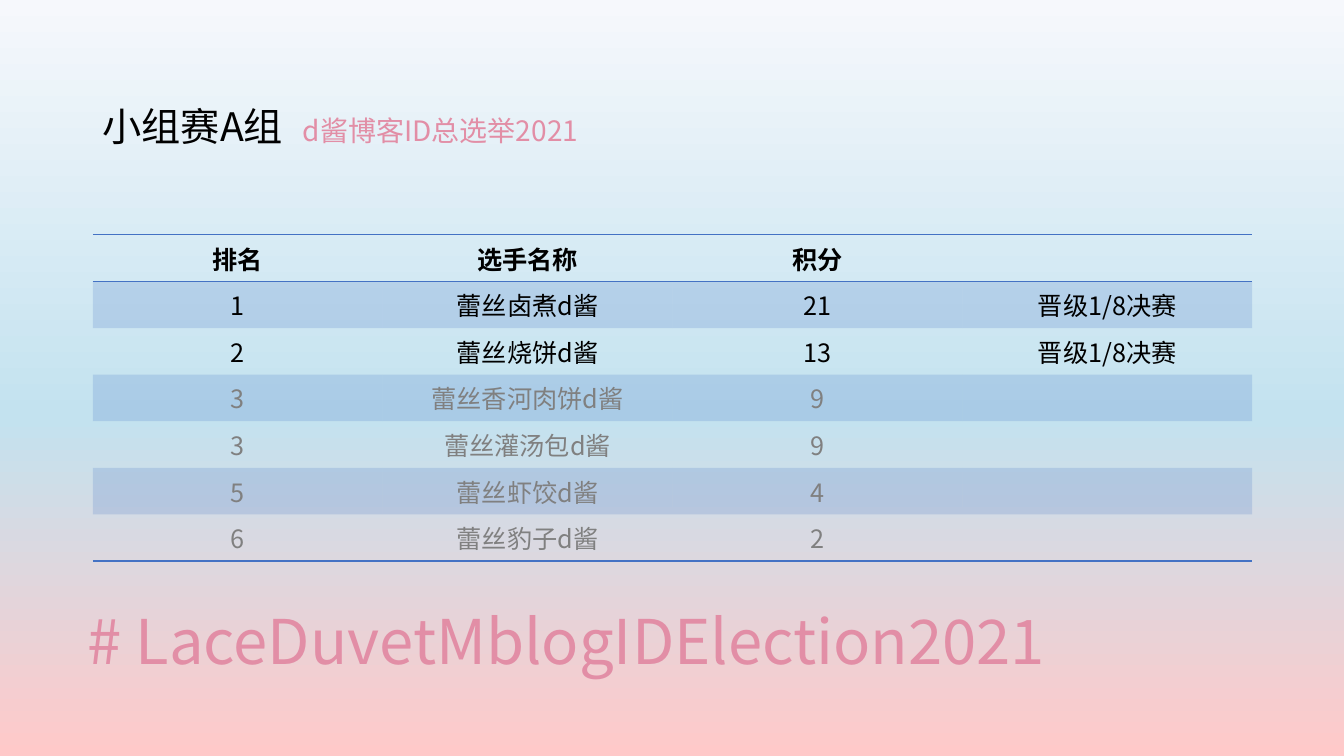
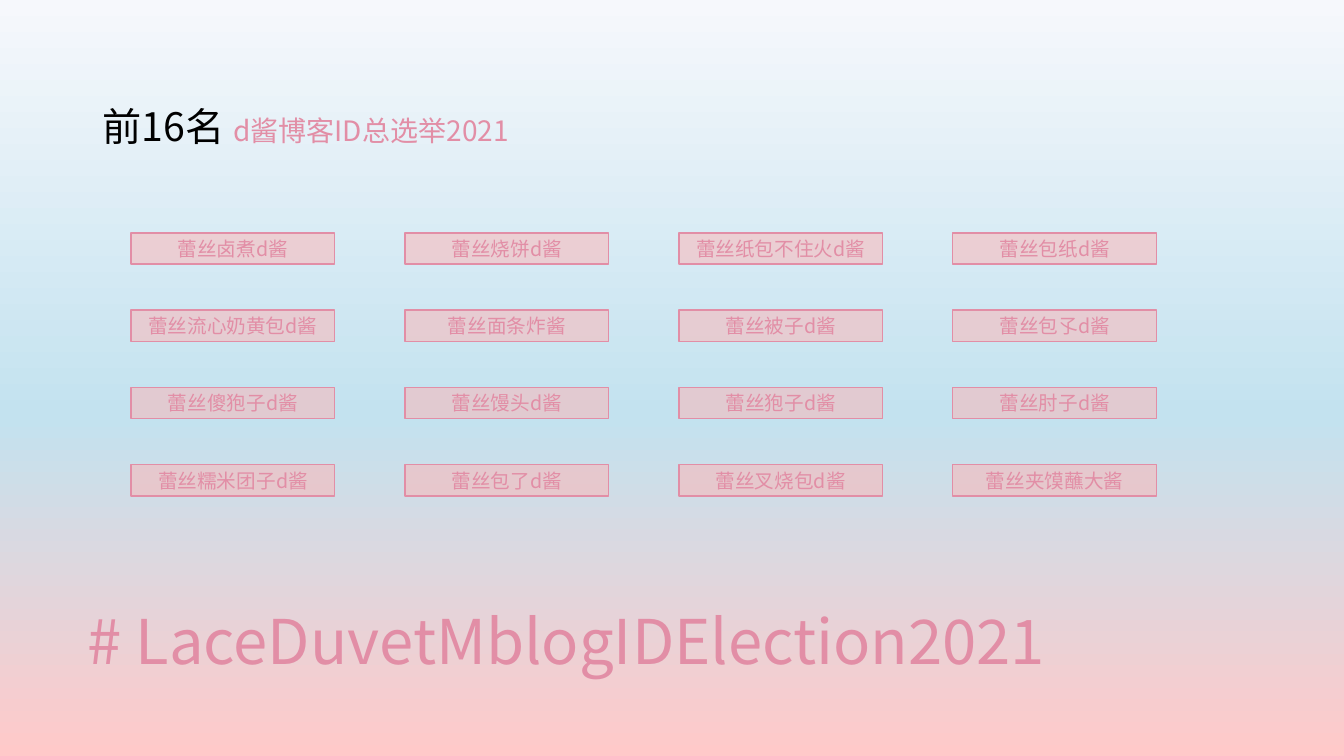
from dataclasses import dataclass
from typing import Any

from lxml import etree
from pptx import Presentation
from pptx.dml.color import RGBColor
from pptx.enum.shapes import MSO_SHAPE
from pptx.enum.text import MSO_ANCHOR, MSO_AUTO_SIZE, PP_ALIGN
from pptx.oxml.ns import qn
from pptx.util import Inches, Pt

RECTANGLE = MSO_SHAPE.RECTANGLE
TOP, MIDDLE = MSO_ANCHOR.TOP, MSO_ANCHOR.MIDDLE
LEFT, CENTER = PP_ALIGN.LEFT, PP_ALIGN.CENTER
NO_AUTOFIT = MSO_AUTO_SIZE.NONE
TITLE_ONLY_LAYOUT = 5
PLAIN_TABLE_STYLE = "{2D5ABB26-0587-4C30-8999-92F81FD0307C}"


@dataclass(frozen=True)
class Theme:
    font: str = "Noto Sans CJK SC"
    black: str = "000000"
    gray: str = "808080"
    pink: str = "E28EA6"
    blush: str = "FFB3B3"
    blue: str = "4472C4"
    background: tuple[tuple[int, str], ...] = ((0, "F6F8FC"), (55, "C3E2EF"), (100, "FFC9C9"))
    title_size: int = 44
    heading_size: int = 28
    event_size: int = 20
    table_size: int = 18
    badge_size: int = 14
    line_width: int = 1
    line_spacing: float = 0.9


@dataclass(frozen=True)
class Box:
    left: float
    top: float
    width: float
    height: float

    def lengths(self) -> tuple[int, int, int, int]:
        return Inches(self.left), Inches(self.top), Inches(self.width), Inches(self.height)


@dataclass(frozen=True)
class TextRun:
    text: str
    size: int
    color: str
    bold: bool = False


@dataclass(frozen=True)
class Standing:
    rank: str
    name: str
    points: str
    result: str = ""

    def values(self) -> tuple[str, ...]:
        return self.rank, self.name, self.points, self.result


@dataclass(frozen=True)
class Grid:
    """First and last cell corners; the cells between are evenly spaced."""
    first: Box
    last_left: float
    last_top: float
    columns: int
    rows: int

    def cell(self, row: int, column: int) -> Box:
        column_step = (self.last_left - self.first.left) / (self.columns - 1)
        row_step = (self.last_top - self.first.top) / (self.rows - 1)
        return Box(self.first.left + column * column_step,
                   self.first.top + row * row_step,
                   self.first.width, self.first.height)


THEME = Theme()
TITLE_TEXT = "# LaceDuvetMblogIDElection2021"
EVENT_TEXT = "d酱博客ID总选举2021"
TITLE_BOX = Box(0.77, 5.67, 11.5, 1.45)
HEADING_BOX = Box(0.92, 1.02, 11.5, 0.54)
TABLE_BOX = Box(0.92, 2.33, 11.5, 2.84)
BADGE_GRID = Grid(Box(1.3, 2.31, 2.02, 0.31), 9.45, 4.61, columns=4, rows=4)

STANDINGS_HEADER = Standing("排名", "选手名称", "积分")
STANDINGS = (
    Standing("1", "蕾丝卤煮d酱", "21", "晋级1/8决赛"),
    Standing("2", "蕾丝烧饼d酱", "13", "晋级1/8决赛"),
    Standing("3", "蕾丝香河肉饼d酱", "9"),
    Standing("3", "蕾丝灌汤包d酱", "9"),
    Standing("5", "蕾丝虾饺d酱", "4"),
    Standing("6", "蕾丝豹子d酱", "2"),
)
TOP_SIXTEEN = (
    ("蕾丝卤煮d酱", "蕾丝烧饼d酱", "蕾丝纸包不住火d酱", "蕾丝包纸d酱"),
    ("蕾丝流心奶黄包d酱", "蕾丝面条炸酱", "蕾丝被子d酱", "蕾丝包孓d酱"),
    ("蕾丝傻狍子d酱", "蕾丝馒头d酱", "蕾丝狍子d酱", "蕾丝肘子d酱"),
    ("蕾丝糯米团子d酱", "蕾丝包了d酱", "蕾丝叉烧包d酱", "蕾丝夹馍蘸大酱"),
)


# Formatting helpers
def apply_format(target: Any, values: dict[str, Any]) -> None:
    for name, value in values.items():
        setattr(target, name, value)


def write_runs(paragraph: Any, runs: tuple[TextRun, ...], **paragraph_format: Any) -> None:
    apply_format(paragraph, paragraph_format)
    for text_run in runs:
        run = paragraph.add_run()
        run.text = text_run.text
        run.font.color.rgb = RGBColor.from_string(text_run.color)
        apply_format(run.font, {"name": THEME.font, "size": Pt(text_run.size),
                                "bold": text_run.bold})
        latin = run.font._element.find(qn("a:latin"))
        east_asian = etree.Element(qn("a:ea"), typeface=THEME.font)
        latin.addnext(east_asian)


def add_color(parent: Any, color: str) -> Any:
    return etree.SubElement(parent, qn("a:srgbClr"), val=color)


def set_solid_fill(fill: Any, properties: Any, color: str, opacity: int) -> None:
    fill.solid()
    fill.fore_color.rgb = RGBColor.from_string(color)
    color_element = properties.find(qn("a:solidFill")).find(qn("a:srgbClr"))
    etree.SubElement(color_element, qn("a:alpha"), val=str(opacity * 1000))


def set_cell_borders(properties: Any, edges: tuple[str, ...]) -> None:
    for position, edge in enumerate(edges):
        line = etree.Element(qn(f"a:{edge}"), w=str(Pt(THEME.line_width)))
        add_color(etree.SubElement(line, qn("a:solidFill")), THEME.blue)
        properties.insert(position, line)


# Shared slide parts
def set_background(presentation: Any) -> None:
    master = presentation.slide_master
    fill = master.background.fill
    fill.gradient()
    fill.gradient_angle = 270
    stops = master.element.find(".//" + qn("a:gsLst"))
    for stop in list(stops):
        stops.remove(stop)
    for percent, color in THEME.background:
        add_color(etree.SubElement(stops, qn("a:gs"), pos=str(percent * 1000)), color)


def add_election_slide(presentation: Any, heading: str) -> Any:
    slide = presentation.slides.add_slide(presentation.slide_layouts[TITLE_ONLY_LAYOUT])
    title = slide.shapes.title
    apply_format(title, dict(zip(("left", "top", "width", "height"), TITLE_BOX.lengths())))
    heading_box = slide.shapes.add_textbox(*HEADING_BOX.lengths())
    title_runs = (TextRun(TITLE_TEXT, THEME.title_size, THEME.pink),)
    heading_runs = (TextRun(heading, THEME.heading_size, THEME.black),
                    TextRun(EVENT_TEXT, THEME.event_size, THEME.pink))
    for shape, runs, anchor in ((title, title_runs, MIDDLE), (heading_box, heading_runs, TOP)):
        apply_format(shape.text_frame, {"word_wrap": True, "auto_size": NO_AUTOFIT,
                                        "vertical_anchor": anchor})
        write_runs(shape.text_frame.paragraphs[0], runs, alignment=LEFT,
                   line_spacing=THEME.line_spacing)
    return slide


# Group standings table
def add_standings(slide: Any, standings: tuple[Standing, ...]) -> None:
    rows = (STANDINGS_HEADER, *standings)
    columns = len(STANDINGS_HEADER.values())
    frame = slide.shapes.add_table(len(rows), columns, *TABLE_BOX.lengths())
    table = frame.table
    apply_format(table, {"first_row": False, "horz_banding": False})
    frame.element.find(".//" + qn("a:tableStyleId")).text = PLAIN_TABLE_STYLE
    for row_index, standing in enumerate(rows):
        is_header = row_index == 0
        color = THEME.black if is_header or standing.result else THEME.gray
        edges = ("lnT", "lnB") if is_header else ()
        if row_index == len(rows) - 1:
            edges = ("lnB",)
        for column_index, text in enumerate(standing.values()):
            cell = table.cell(row_index, column_index)
            properties = cell._tc.get_or_add_tcPr()
            if row_index % 2:
                set_solid_fill(cell.fill, properties, THEME.blue, 20)
            else:
                cell.fill.background()
            set_cell_borders(properties, edges)
            if text:
                write_runs(cell.text_frame.paragraphs[0],
                           (TextRun(text, THEME.table_size, color, is_header),),
                           alignment=CENTER)


# Name badges
def add_badge(slide: Any, box: Box, name: str) -> None:
    badge = slide.shapes.add_shape(RECTANGLE, *box.lengths())
    badge.shadow.inherit = False
    set_solid_fill(badge.fill, badge.element.spPr, THEME.blush, 50)
    badge.line.color.rgb = RGBColor.from_string(THEME.pink)
    badge.line.width = Pt(THEME.line_width)
    badge.text_frame.vertical_anchor = MIDDLE
    write_runs(badge.text_frame.paragraphs[0],
               (TextRun(name, THEME.badge_size, THEME.pink),), alignment=CENTER)


def add_badges(slide: Any, names: tuple[tuple[str, ...], ...]) -> None:
    for row_index, row in enumerate(names):
        for column_index, name in enumerate(row):
            add_badge(slide, BADGE_GRID.cell(row_index, column_index), name)


def main() -> None:
    presentation = Presentation()
    apply_format(presentation, {"slide_width": Inches(13.33), "slide_height": Inches(7.5)})
    set_background(presentation)
    add_standings(add_election_slide(presentation, "小组赛A组\u2002"), STANDINGS)
    add_badges(add_election_slide(presentation, "前16名 "), TOP_SIXTEEN)
    presentation.save("out.pptx")


main()
